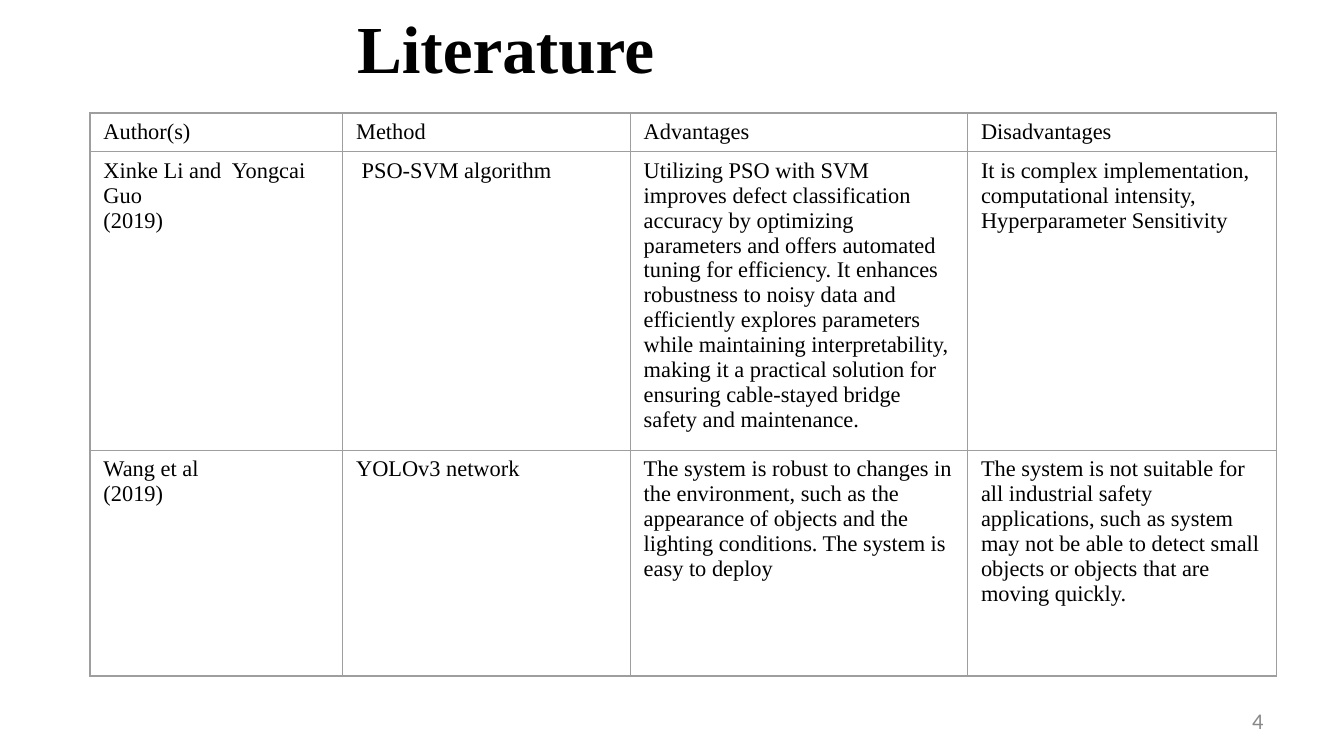
from lxml.etree import SubElement
from pptx import Presentation
from pptx.dml.color import RGBColor
from pptx.enum.text import MSO_ANCHOR, PP_ALIGN
from pptx.oxml.ns import qn
from pptx.util import Inches, Pt

COLORS = {"text": "000000", "number": "888888", "border": "9E9E9E"}
SERIF = "Times New Roman"
TITLE = "Literature "
PAGE_NUMBER = "4"

# Each cell is a list of paragraphs.
ROWS = [
    [["Author(s)"], ["Method"], ["Advantages"], ["Disadvantages"]],
    [
        ["Xinke Li and  Yongcai Guo", "(2019)"],
        [" PSO-SVM algorithm"],
        ["Utilizing PSO with SVM improves defect classification accuracy by "
         "optimizing parameters and offers automated tuning for efficiency. "
         "It enhances robustness to noisy data and efficiently explores "
         "parameters while maintaining interpretability, making it a practical "
         "solution for ensuring cable-stayed bridge safety and maintenance."],
        ["It is complex implementation, computational intensity, "
         "Hyperparameter Sensitivity"],
    ],
    [
        ["Wang et al", "(2019)"],
        ["YOLOv3 network"],
        ["The system is robust to changes in the environment, such as the "
         "appearance of objects and the lighting conditions. The system is "
         "easy to deploy"],
        ["The system is not suitable for all industrial safety applications, "
         "such as system may not be able to detect small objects or objects "
         "that are moving quickly."],
    ],
]
COLUMN_WIDTHS = [1.88, 2.14, 2.51, 2.3]
ROW_HEIGHTS = [0.29, 2.22, 1.68]


def write(frame, lines, size, font=SERIF, color="text", bold=False, align=PP_ALIGN.LEFT):
    frame.word_wrap = True
    for index, line in enumerate(lines):
        para = frame.add_paragraph() if index else frame.paragraphs[0]
        para.alignment = align
        span = para.add_run()
        span.text = line
        span.font.size = Pt(size)
        span.font.name = font
        span.font.bold = bold
        span.font.color.rgb = RGBColor.from_string(COLORS[color])


def add_borders(cell):
    properties = cell._tc.get_or_add_tcPr()
    for position, side in enumerate(("lnL", "lnR", "lnT", "lnB")):
        line = SubElement(properties, qn(f"a:{side}"), w=str(Pt(0.75)))
        fill = SubElement(line, qn("a:solidFill"))
        SubElement(fill, qn("a:srgbClr"), val=COLORS["border"])
        properties.insert(position, line)  # borders must precede the fill


def add_title(page):
    title = page.shapes.title
    title.left, title.top = Inches(0.48), Inches(0)
    title.width, title.height = Inches(6.69), Inches(0.69)
    title.text_frame.vertical_anchor = MSO_ANCHOR.MIDDLE
    write(title.text_frame, [TITLE], 36, bold=True, align=PP_ALIGN.CENTER)


def add_literature_table(page):
    table = page.shapes.add_table(
        len(ROWS), len(COLUMN_WIDTHS), Inches(0.67), Inches(0.84),
        Inches(sum(COLUMN_WIDTHS)), Inches(sum(ROW_HEIGHTS))).table
    table.first_row = table.horz_banding = False
    for column, width in zip(table.columns, COLUMN_WIDTHS):
        column.width = Inches(width)
    for row, height, contents in zip(table.rows, ROW_HEIGHTS, ROWS):
        row.height = Inches(height)
        for cell, lines in zip(row.cells, contents):
            cell.fill.background()
            add_borders(cell)
            write(cell.text_frame, lines, 12)


def add_page_number(page):
    box = page.shapes.add_textbox(Inches(7.17), Inches(5.21), Inches(2.33), Inches(0.3))
    box.text_frame.vertical_anchor = MSO_ANCHOR.MIDDLE
    write(box.text_frame, [PAGE_NUMBER], 12, "Calibri", "number", align=PP_ALIGN.RIGHT)


def main():
    deck = Presentation()
    deck.slide_width = Inches(10)
    deck.slide_height = deck.slide_width * 9 // 16
    page = deck.slides.add_slide(deck.slide_layouts.get_by_name("Title Only"))
    add_title(page)
    add_literature_table(page)
    add_page_number(page)
    deck.save("out.pptx")


if __name__ == "__main__":
    main()
